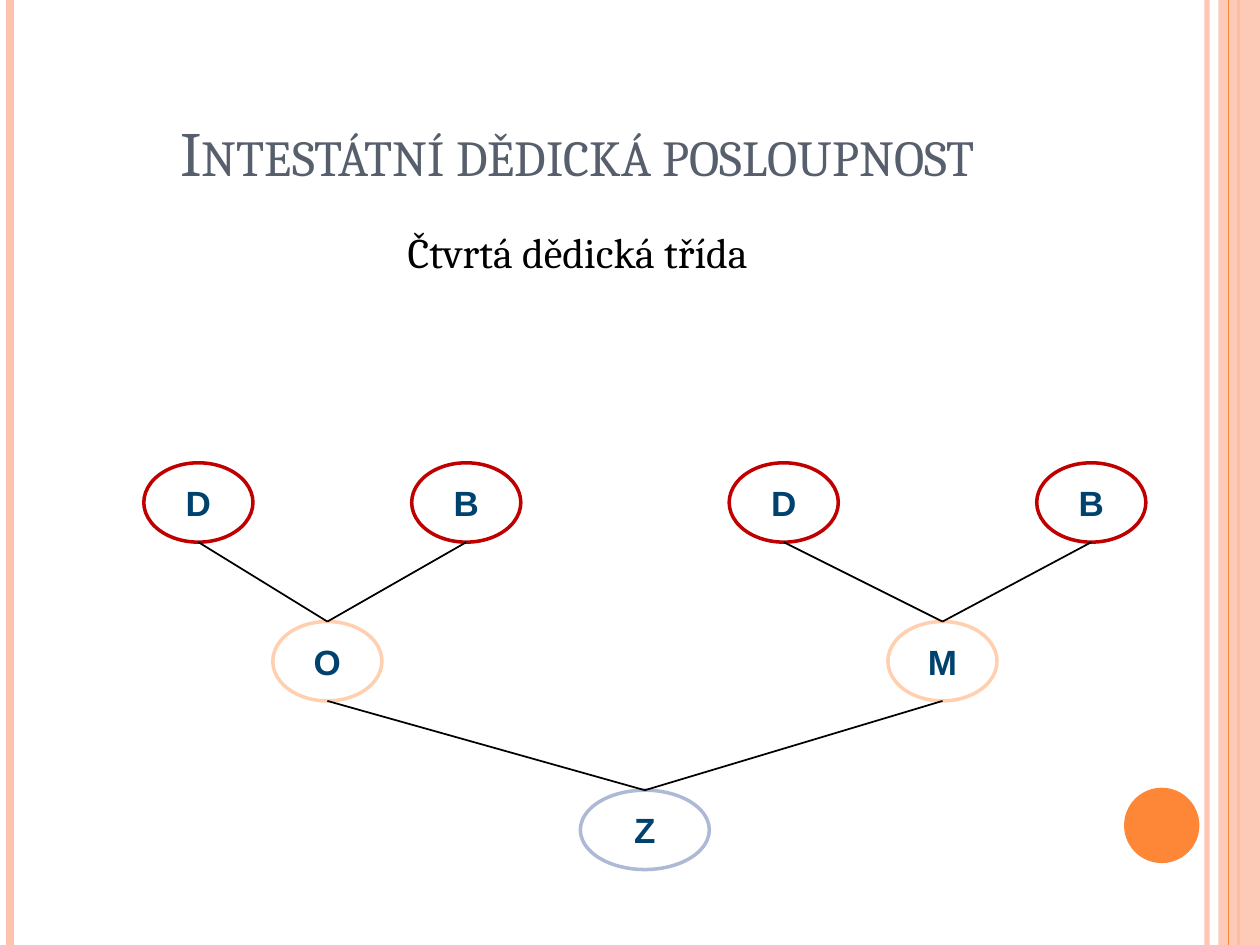
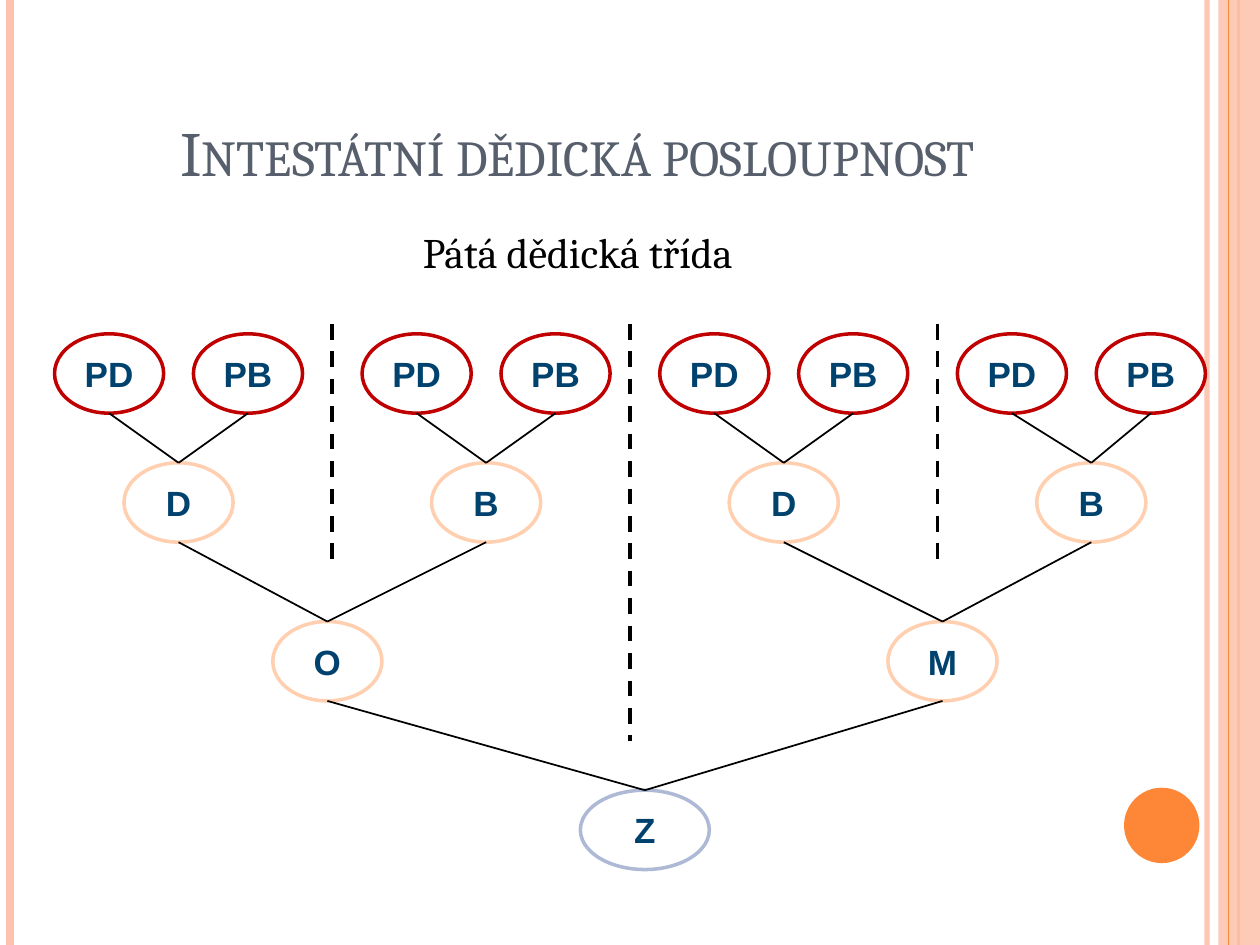
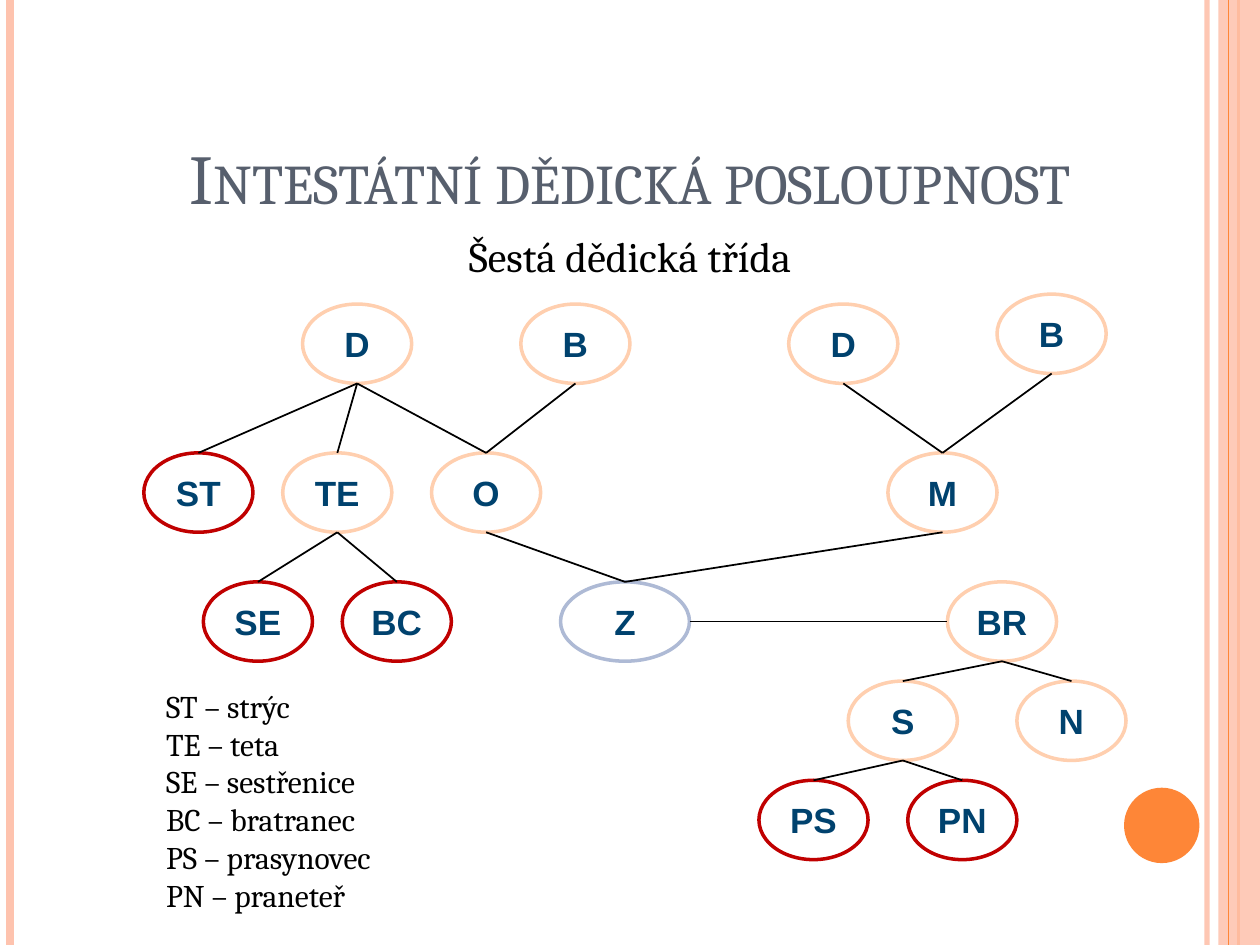
from dataclasses import dataclass
from typing import Any

from lxml import etree
from pptx import Presentation
from pptx.dml.color import RGBColor
from pptx.enum.dml import MSO_LINE
from pptx.enum.shapes import MSO_CONNECTOR, MSO_SHAPE
from pptx.enum.text import MSO_ANCHOR, PP_ALIGN
from pptx.oxml.ns import qn
from pptx.util import Cm, Pt

STRAIGHT = MSO_CONNECTOR.STRAIGHT
ELLIPSE, RECTANGLE = MSO_SHAPE.OVAL, MSO_SHAPE.RECTANGLE
SOLID, DASH = MSO_LINE.SOLID, MSO_LINE.DASH
LEFT, CENTER = PP_ALIGN.LEFT, PP_ALIGN.CENTER
TOP, MIDDLE, BOTTOM = MSO_ANCHOR.TOP, MSO_ANCHOR.MIDDLE, MSO_ANCHOR.BOTTOM

BLACK = RGBColor(0x00, 0x00, 0x00)
WHITE = RGBColor(0xFF, 0xFF, 0xFF)
SLATE = RGBColor(0x57, 0x5F, 0x6D)
NAVY = RGBColor(0x00, 0x42, 0x6E)
ORANGE = RGBColor(0xFE, 0x86, 0x37)
SALMON = RGBColor(0xFE, 0xC3, 0xAE)
HEIR_RED = RGBColor(0xC0, 0x00, 0x00)
KIN_PEACH = RGBColor(0xFF, 0xCF, 0xAF)
DECEASED_BLUE = RGBColor(0xAE, 0xBA, 0xD5)

PAGE_WIDTH, PAGE_HEIGHT = 25.4, 19.05
NODE_WIDTH, DECEASED_WIDTH, NODE_HEIGHT = 2.2, 2.6, 1.6
TITLE = "Intestátní dědická posloupnost"

TITLE_FONT = {"name": "Cambria", "size": Pt(36)}
LARGE_TITLE_FONT = {"name": "Cambria", "size": Pt(40)}
SUBTITLE_FONT = {"name": "Cambria", "size": Pt(24)}
LEGEND_FONT = {"name": "Cambria", "size": Pt(18)}
NODE_FONT = {"name": "Arial", "size": Pt(20), "bold": True}


@dataclass(frozen=True)
class Person:
    label: str
    center: float
    top: float
    color: RGBColor = KIN_PEACH
    width: float = NODE_WIDTH

    @property
    def bottom(self) -> float:
        return self.top + NODE_HEIGHT


@dataclass(frozen=True)
class Line:
    start: tuple[float, float]
    end: tuple[float, float]
    color: RGBColor = BLACK
    weight: float = 1
    dash: Any = SOLID
    opacity: int = 100


@dataclass(frozen=True)
class Heading:
    subtitle: str
    title_top: float = 0.76
    title_height: float = 3.18
    subtitle_top: float = 4.45
    subtitle_height: float = 13.54
    width: float = 20.75
    font: Any = None


Link = tuple[Person, Person]


def vertical(x: float, color: RGBColor, weight: float, opacity: int = 100) -> Line:
    return Line((x, 0), (x, PAGE_HEIGHT), color, weight, SOLID, opacity)


def divider(x: float, bottom: float) -> Line:
    return Line((x, 6.53), (x, bottom), BLACK, 2.25, DASH)


FRAME_LINES = (
    vertical(24.33, SALMON, 3, 93),
    vertical(0.2, SALMON, 4.5),
    vertical(24.97, ORANGE, 1.5),
)
BAND_LINE = vertical(24.77, ORANGE, 0.75)


def set_opacity(element: Any, percent: int) -> None:
    for color in element.iter(qn("a:srgbClr")):
        etree.SubElement(color, qn("a:alpha")).set("val", str(percent * 1000))


def draw_line(page: Any, line: Line) -> None:
    points = [Cm(value) for value in (*line.start, *line.end)]
    connector = page.shapes.add_connector(STRAIGHT, *points)
    connector.line.color.rgb = line.color
    connector.line.width = Pt(line.weight)
    connector.line.dash_style = line.dash
    properties = connector._element.spPr
    if line.opacity < 100:
        set_opacity(properties, line.opacity)
    etree.SubElement(properties, qn("a:effectLst"))


def add_plain_shape(page: Any, kind: Any, place: tuple[float, ...], fill: RGBColor | None) -> Any:
    shape = page.shapes.add_shape(kind, *map(Cm, place))
    shape.shadow.inherit = False
    shape.line.fill.background()
    if fill is None:
        shape.fill.background()
    else:
        shape.fill.solid()
        shape.fill.fore_color.rgb = fill
    return shape


def write(para: Any, text: str, font: dict[str, Any], color: RGBColor, align: Any) -> Any:
    para.alignment = align
    span = para.add_run()
    span.text = text
    for name, value in font.items():
        setattr(span.font, name, value)
    span.font.color.rgb = color
    return span


def add_text_box(page: Any, place: tuple[float, ...], anchor: Any) -> Any:
    box = page.shapes.add_textbox(*map(Cm, place))
    box.text_frame.word_wrap = True
    box.text_frame.vertical_anchor = anchor
    return box.text_frame


def draw_frame(page: Any) -> None:
    for line in FRAME_LINES:
        draw_line(page, line)
    band = add_plain_shape(page, RECTANGLE, (24.56, 0, 0.84, PAGE_HEIGHT), SALMON)
    set_opacity(band._element.spPr, 87)
    draw_line(page, BAND_LINE)
    add_plain_shape(page, ELLIPSE, (22.66, 15.88, 1.52, 1.52), ORANGE)


def draw_heading(page: Any, heading: Heading) -> None:
    place = (1.27, heading.title_top, heading.width, heading.title_height)
    frame = add_text_box(page, place, BOTTOM)
    span = write(frame.paragraphs[0], TITLE, heading.font or TITLE_FONT, SLATE, CENTER)
    span._r.get_or_add_rPr().set("cap", "small")

    place = (1.27, heading.subtitle_top, heading.width, heading.subtitle_height)
    para = add_text_box(page, place, TOP).paragraphs[0]
    para.space_before = Pt(6)
    write(para, heading.subtitle, SUBTITLE_FONT, BLACK, CENTER)


def draw_person(page: Any, person: Person) -> None:
    place = (person.center - person.width / 2, person.top, person.width, NODE_HEIGHT)
    fill = WHITE if person.color == DECEASED_BLUE else None
    node = add_plain_shape(page, ELLIPSE, place, fill)
    node.line.color.rgb = person.color
    node.line.width = Pt(2)
    node.text_frame.word_wrap = False
    node.text_frame.vertical_anchor = MIDDLE
    write(node.text_frame.paragraphs[0], person.label, NODE_FONT, NAVY, CENTER)


def draw_tree(page: Any, links: list[Link]) -> None:
    for person in dict.fromkeys(person for link in links for person in link):
        draw_person(page, person)
    for upper, lower in links:
        draw_line(page, Line((upper.center, upper.bottom), (lower.center, lower.top)))


def add_page(deck: Any, heading: Heading, links: list[Link]) -> Any:
    page = deck.slides.add_slide(deck.slide_layouts[6])
    draw_frame(page)
    draw_heading(page, heading)
    draw_tree(page, links)
    return page


def grandparent_links(centers: tuple[float, ...], color: RGBColor) -> list[Link]:
    father, mother = Person("O", 6.6, 12.53), Person("M", 19, 12.53)
    deceased = Person("Z", 13, 15.93, DECEASED_BLUE, DECEASED_WIDTH)
    grandparents = [Person(label, x, 9.33, color) for label, x in zip("DBDB", centers)]
    children = (father, father, mother, mother)
    return [*zip(grandparents, children), (father, deceased), (mother, deceased)]


def build_fourth_class(deck: Any) -> None:
    links = grandparent_links((4, 9.4, 15.8, 22), HEIR_RED)
    add_page(deck, Heading("Čtvrtá dědická třída"), links)


def build_fifth_class(deck: Any) -> None:
    links = grandparent_links((3.6, 9.8, 15.8, 22), KIN_PEACH)
    grandparents = [upper for upper, _ in links[:4]]
    ancestors = [
        (Person(label, pair_start + offset, 6.73, HEIR_RED), grandparent)
        for grandparent, pair_start in zip(grandparents, (2.2, 8.4, 14.4, 20.4))
        for label, offset in (("PD", 0), ("PB", 2.8))
    ]
    page = add_page(deck, Heading("Pátá dědická třída"), ancestors + links)
    for x, bottom in ((12.7, 14.93), (18.9, 11.33), (6.7, 11.33)):
        draw_line(page, divider(x, bottom))


def build_sixth_class(deck: Any) -> None:
    paternal_d, paternal_b = Person("D", 7.2, 6.13), Person("B", 11.6, 6.13)
    maternal_d, maternal_b = Person("D", 17, 6.13), Person("B", 21.2, 5.93)
    uncle, aunt = Person("ST", 4, 9.13, HEIR_RED), Person("TE", 6.8, 9.13)
    father, mother = Person("O", 9.8, 9.13), Person("M", 19, 9.13)
    deceased = Person("Z", 12.6, 11.73, DECEASED_BLUE, DECEASED_WIDTH)
    brother = Person("BR", 20.2, 11.73)
    nephew, niece = Person("S", 18.2, 13.73), Person("N", 21.6, 13.73)
    descendants = {
        paternal_d: (uncle, aunt, father),
        paternal_b: (father,),
        maternal_d: (mother,),
        maternal_b: (mother,),
        father: (deceased,),
        mother: (deceased,),
        aunt: (Person("SE", 5.2, 11.73, HEIR_RED), Person("BC", 8, 11.73, HEIR_RED)),
        brother: (nephew, niece),
        nephew: (Person("PS", 16.4, 15.73, HEIR_RED), Person("PN", 19.4, 15.73, HEIR_RED)),
    }
    links = [(upper, lower) for upper, group in descendants.items() for lower in group]
    heading = Heading("Šestá dědická třída", 1.96, 2.57, 4.52, 13.06, 22.86, LARGE_TITLE_FONT)
    page = add_page(deck, heading, links)

    middle = deceased.top + NODE_HEIGHT / 2
    start = deceased.center + deceased.width / 2
    end = brother.center - brother.width / 2
    draw_line(page, Line((start, middle), (end, middle)))

    legend = {
        "ST": "strýc",
        "TE": "teta",
        "SE": "sestřenice",
        "BC": "bratranec",
        "PS": "prasynovec",
        "PN": "praneteř",
    }
    frame = add_text_box(page, (3.1, 13.72, 8.79, 5.64), TOP)
    for index, (label, meaning) in enumerate(legend.items()):
        para = frame.add_paragraph() if index else frame.paragraphs[0]
        write(para, f"{label} – {meaning}", LEGEND_FONT, BLACK, LEFT)


def main() -> None:
    deck = Presentation()
    deck.slide_width, deck.slide_height = Cm(PAGE_WIDTH), Cm(PAGE_HEIGHT)
    build_fourth_class(deck)
    build_fifth_class(deck)
    build_sixth_class(deck)
    deck.save("out.pptx")


if __name__ == "__main__":
    main()
